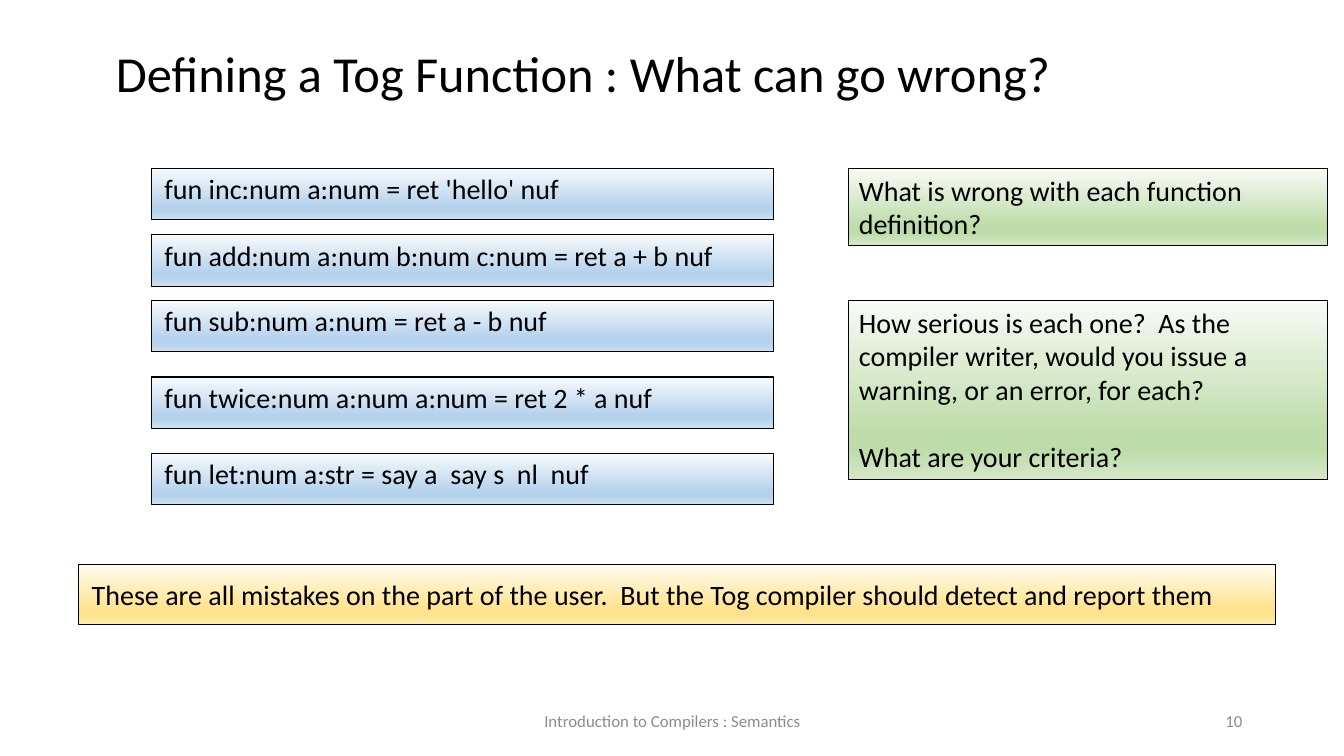
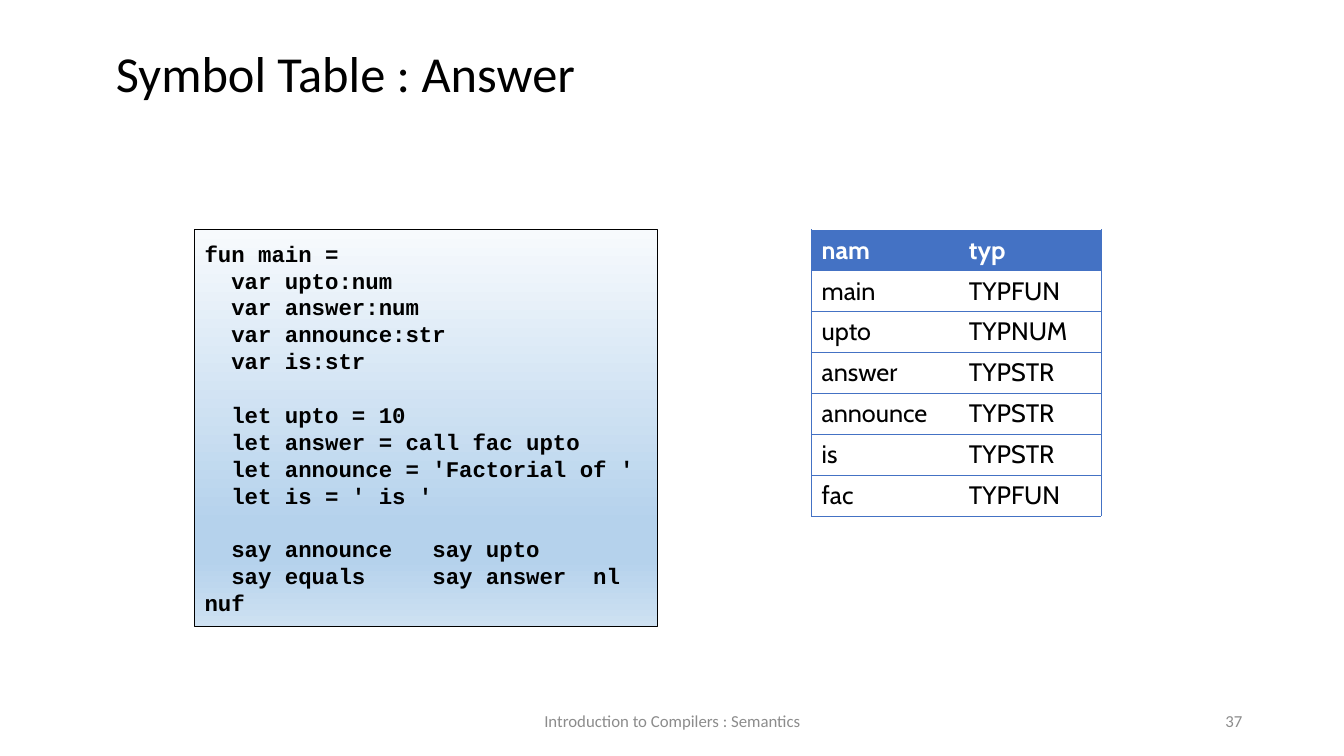
"""Build two compiler lecture slides: faulty functions and a symbol table."""
import pptx
import pptx.dml.color
import pptx.enum.shapes
import pptx.enum.text
import pptx.oxml
import pptx.oxml.ns
import pptx.util

Inches = pptx.util.Inches
Pt = pptx.util.Pt
qn = pptx.oxml.ns.qn
rgb = pptx.dml.color.RGBColor.from_string
ALIGN = pptx.enum.text.PP_ALIGN
ANCHOR = pptx.enum.text.MSO_ANCHOR
RECT = pptx.enum.shapes.MSO_SHAPE.RECTANGLE
NS = 'xmlns:a="http://schemas.openxmlformats.org/drawingml/2006/main"'

BLACK, GREY, WHITE, ACCENT = "000000", "8C8C8C", "FFFFFF", "4472C4"
BLUE = ("F7FAFD", "B5D2EC", "B5D2EC", "CEE1F2")
GREEN = ("F8FBF6", "BEDCAA", "BEDCAA", "D4E8C6")
YELLOW = ("FFFCF2", "FFE38C", "FFE38C", "FFECB2")
STOPS = (0, 74, 83, 100)


def write(tf, text, size=20, font="Calibri", color=BLACK, bold=False, align=ALIGN.LEFT,
          anchor=ANCHOR.TOP, inset=(0.1, 0.05), spacing=None, gap=0):
    tf.word_wrap = True
    tf.auto_size = pptx.enum.text.MSO_AUTO_SIZE.NONE
    tf.vertical_anchor = anchor
    tf.margin_left = tf.margin_right = Inches(inset[0])
    tf.margin_top = tf.margin_bottom = Inches(inset[1])
    first = True
    for block in text.split("\n\n"):
        for i, line in enumerate(block.split("\n")):
            p = tf.paragraphs[0] if first else tf.add_paragraph()
            p.alignment = align
            p.space_before = Pt(gap if i == 0 and not first else 0)
            if spacing:
                p.line_spacing = spacing
            r = p.add_run()
            r.text = line
            r.font.size, r.font.name, r.font.bold = Pt(size), font, bold
            r.font.color.rgb = rgb(color)
            first = False


def panel(s, box, colors, text, **fmt):
    sp = s.shapes.add_shape(RECT, *map(Inches, box))
    sp.shadow.inherit = False
    sp.line.color.rgb = rgb(BLACK)
    sp.line.width = Pt(0.75)
    sp.fill.gradient()
    sp.fill.gradient_angle = 270
    stops = sp._element.spPr.find(qn("a:gradFill")).find(qn("a:gsLst"))
    for gs in list(stops):
        stops.remove(gs)
    for pos, color in zip(STOPS, colors):
        stops.append(pptx.oxml.parse_xml(
            f'<a:gs {NS} pos="{pos * 1000}"><a:srgbClr val="{color}"/></a:gs>'))
    write(sp.text_frame, text, **fmt)


prs = pptx.Presentation()
prs.slide_width, prs.slide_height = Inches(13.33), Inches(7.5)

slides = []
for title, number in (("Defining a Tog Function : What can go wrong?", "10"),
                      ("Symbol Table : Answer", "37")):
    s = prs.slides.add_slide(prs.slide_layouts[5])
    sp = s.shapes.title
    sp.left, sp.top, sp.width, sp.height = map(Inches, (1.05, 0.37, 11.3, 0.7))
    write(sp.text_frame, title, size=36)
    for left, width, text, align in (
            (4.42, 4.5, "Introduction to Compilers : Semantics", ALIGN.CENTER),
            (9.42, 3, number, ALIGN.RIGHT)):
        sp = s.shapes.add_textbox(Inches(left), Inches(6.95), Inches(width), Inches(0.4))
        write(sp.text_frame, text, size=12, color=GREY, align=align, anchor=ANCHOR.MIDDLE)
    slides.append(s)
functions, symbols = slides

for top, text in ((1.67, "fun inc:num a:num = ret 'hello' nuf"),
                  (2.33, "fun add:num a:num b:num c:num = ret a + b nuf"),
                  (2.98, "fun sub:num a:num = ret a - b nuf"),
                  (3.74, "fun twice:num a:num a:num = ret 2 * a nuf"),
                  (4.5, "fun let:num a:str = say a  say s  nl  nuf")):
    panel(functions, (1.5, top, 6.17, 0.51), BLUE, text, inset=(0.13, 0.07), spacing=0.9)

for top, height, text in (
        (1.67, 0.77, "What is wrong with each function definition?"),
        (2.98, 1.78, "How serious is each one?  As the compiler writer, would you issue a "
                     "warning, or an error, for each?\n\nWhat are your criteria?")):
    panel(functions, (8.42, top, 4.75, height), GREEN, text, gap=24)

panel(functions, (0.78, 5.6, 11.87, 0.6), YELLOW,
      "These are all mistakes on the part of the user.  "
      "But the Tog compiler should detect and report them", inset=(0.13, 0.13))

code = """fun main =
  var upto:num
  var answer:num
  var announce:str
  var is:str

  let upto = 10
  let answer = call fac upto
  let announce = 'Factorial of '
  let is = ' is '

  say announce   say upto
  say equals     say answer  nl
nuf"""
panel(symbols, (1.93, 2.28, 4.59, 3.94), BLUE, code, size=16, font="Courier New",
      bold=True, inset=(0.1, 0.1), spacing=Pt(19.2), gap=19.2)

rows = (("nam", "typ"), ("main", "TYPFUN"), ("upto", "TYPNUM"), ("answer", "TYPSTR"),
        ("announce", "TYPSTR"), ("is", "TYPSTR"), ("fac", "TYPFUN"))
table = symbols.shapes.add_table(len(rows), 2, Inches(8.05), Inches(2.28),
                                 Inches(2.87), Inches(2.83)).table
table.horz_banding = False
table.columns[0].width, table.columns[1].width = Inches(1.46), Inches(1.41)
for i, row in enumerate(rows):
    for j, text in enumerate(row):
        cell = table.cell(i, j)
        header = i == 0
        if header:
            cell.fill.solid()
            cell.fill.fore_color.rgb = rgb(ACCENT)
        else:
            cell.fill.background()
        write(cell.text_frame, text, size=18, font="Cabin", bold=header,
              color=WHITE if header else BLACK)
        inner = "lnR" if j == 0 else "lnL"
        tcPr = cell._tc.get_or_add_tcPr()
        for k, side in enumerate(("lnL", "lnR", "lnT", "lnB")):
            paint = "<a:noFill/>" if side == inner else (
                f'<a:solidFill><a:srgbClr val="{ACCENT}"/></a:solidFill>')
            tcPr.insert(k, pptx.oxml.parse_xml(
                f'<a:{side} {NS} w="{Pt(0.5)}">{paint}</a:{side}>'))

prs.save("out.pptx")
